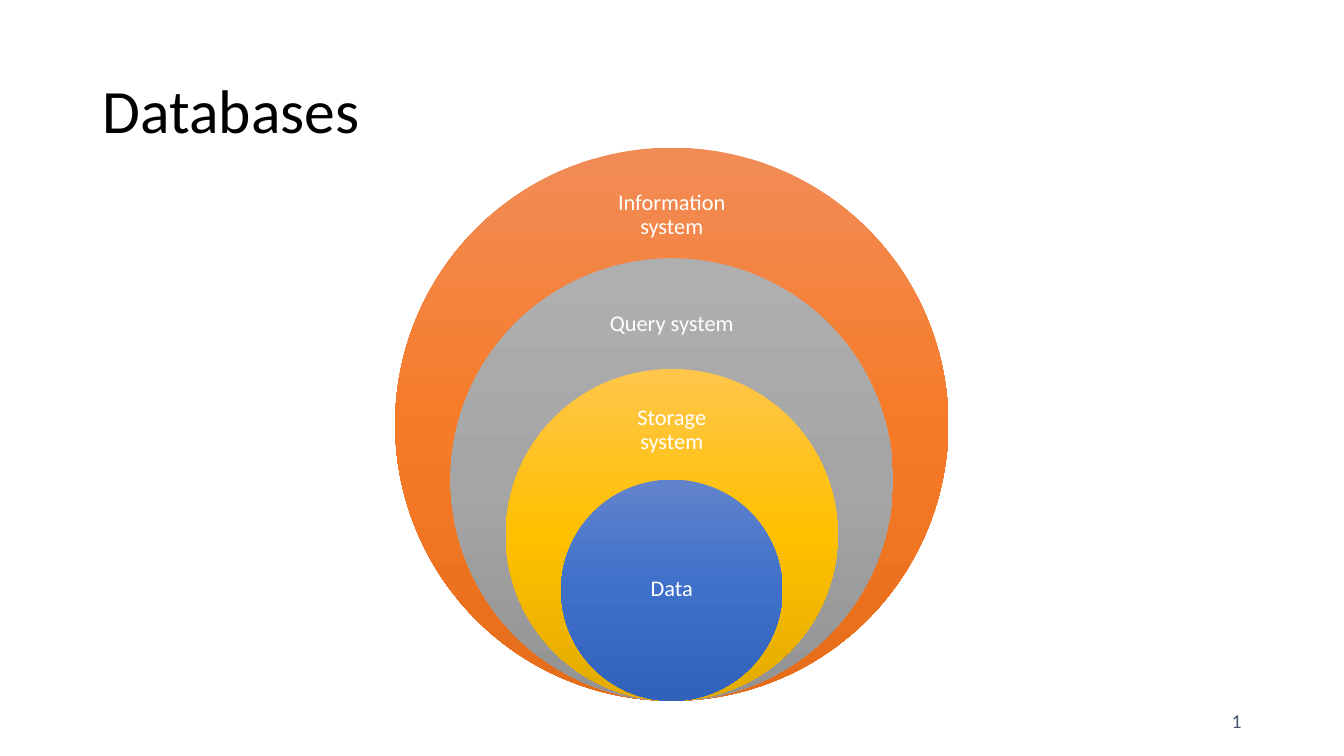
from copy import deepcopy
from dataclasses import dataclass

from pptx import Presentation
from pptx.dml.color import RGBColor
from pptx.enum.shapes import MSO_SHAPE
from pptx.enum.text import MSO_ANCHOR, MSO_AUTO_SIZE, PP_ALIGN
from pptx.oxml.ns import qn
from pptx.util import Cm, Pt


@dataclass(frozen=True)
class Theme:
    font: str = "Calibri"
    title_color: str = "000000"
    label_color: str = "FFFFFF"
    number_color: str = "44546A"
    title_size: int = 44
    label_size: int = 16
    number_size: int = 14
    orange: tuple = ("F18C57", "F67B28", "E56C19")
    gray: tuple = ("AFAFAF", "A5A5A5", "939393")
    gold: tuple = ("FFC64B", "FFC000", "E3AB00")
    blue: tuple = ("6183CB", "3E70CA", "3062BB")


THEME = Theme()
CENTER_X = 16.93
BASELINE = 17.66
OUTER_DIAMETER = 13.94
LABEL_WIDTH = 3.91
LAYERS = [
    ("Information system", THEME.orange, 4.39, 2.08),
    ("Query system", THEME.gray, 7.16, 2.01),
    ("Storage system", THEME.gold, 9.91, 1.88),
    ("Data", THEME.blue, 13.46, 2.79),
]


def write_text(box, text, size, color, align, line_spacing=1.0):
    frame = box.text_frame
    frame.word_wrap = True
    frame.auto_size = MSO_AUTO_SIZE.NONE
    frame.vertical_anchor = MSO_ANCHOR.MIDDLE
    para = frame.paragraphs[0]
    para.alignment = align
    para.line_spacing = line_spacing
    span = para.add_run()
    span.text = text
    span.font.name = THEME.font
    span.font.size = Pt(size)
    span.font.color.rgb = RGBColor.from_string(color)


def fill_gradient(shape, colors):
    shape.fill.gradient()
    shape.fill.gradient_angle = 270
    stop_list = next(shape.element.iter(qn("a:gsLst")))
    stop_list.append(deepcopy(stop_list[0]))
    for index, (stop, color) in enumerate(zip(shape.fill.gradient_stops, colors)):
        stop.position = index / 2
        stop.color.rgb = RGBColor.from_string(color)


def add_title(page, text):
    title = page.shapes.title
    title.left, title.top, title.width, title.height = Cm(2.33), Cm(1.01), Cm(29.21), Cm(3.68)
    write_text(title, text, THEME.title_size, THEME.title_color, PP_ALIGN.LEFT, 0.9)


def add_circle(group, diameter, colors):
    circle = group.shapes.add_shape(
        MSO_SHAPE.OVAL, Cm(CENTER_X - diameter / 2), Cm(BASELINE - diameter),
        Cm(diameter), Cm(diameter))
    circle.shadow.inherit = False
    circle.line.fill.background()
    fill_gradient(circle, colors)


def add_label(group, text, top, height):
    box = group.shapes.add_textbox(
        Cm(CENTER_X - LABEL_WIDTH / 2), Cm(top), Cm(LABEL_WIDTH), Cm(height))
    frame = box.text_frame
    frame.margin_left = frame.margin_right = Cm(0.3)
    frame.margin_top = frame.margin_bottom = Cm(0.3)
    write_text(box, text, THEME.label_size, THEME.label_color, PP_ALIGN.CENTER, 0.9)


def add_nested_circles(page):
    group = page.shapes.add_group_shape()
    for index, (text, colors, top, height) in enumerate(LAYERS):
        add_circle(group, OUTER_DIAMETER * (1 - 0.2 * index), colors)
        add_label(group, text, top, height)


def add_page_number(page, number):
    box = page.shapes.add_textbox(Cm(23.92), Cm(17.66), Cm(7.62), Cm(1.01))
    write_text(box, str(number), THEME.number_size, THEME.number_color, PP_ALIGN.RIGHT)


def main():
    deck = Presentation()
    deck.slide_width, deck.slide_height = Cm(33.87), Cm(19.05)
    page = deck.slides.add_slide(deck.slide_layouts[5])
    add_title(page, "Databases")
    add_nested_circles(page)
    add_page_number(page, 1)
    deck.save("out.pptx")


if __name__ == "__main__":
    main()
